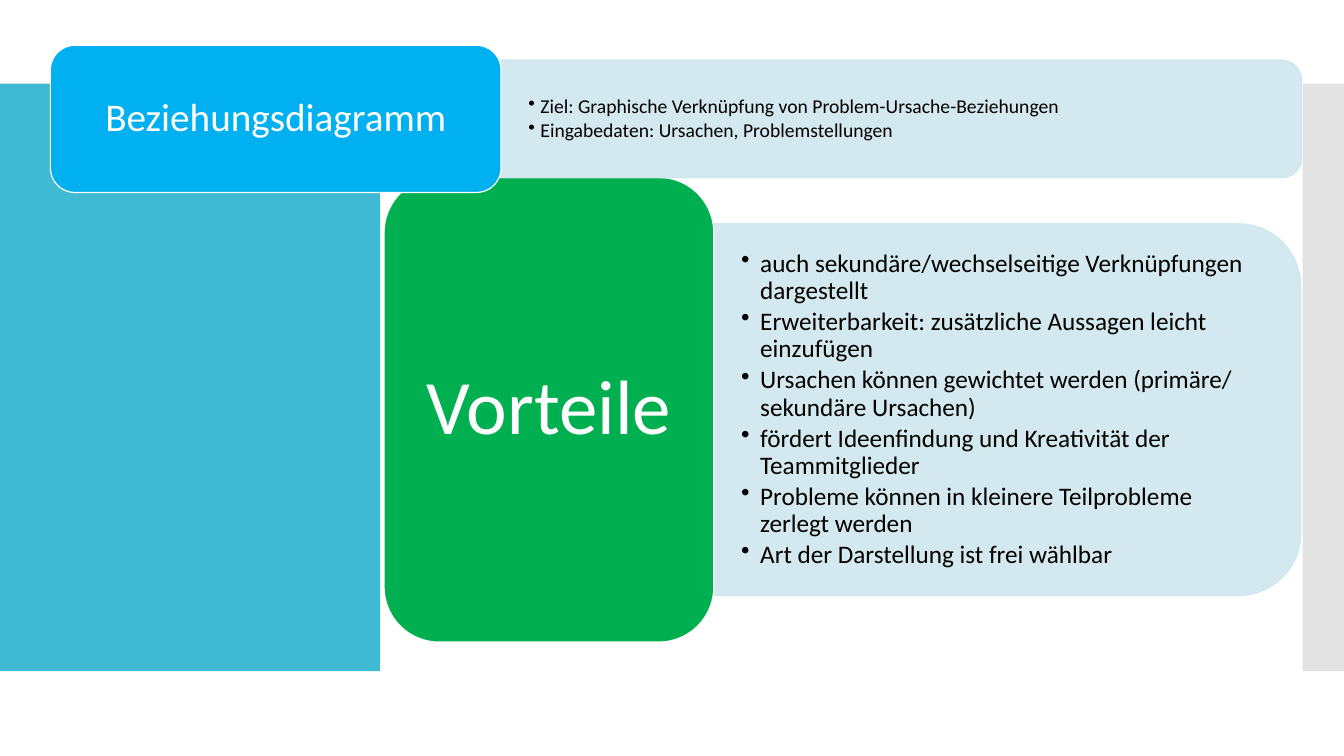
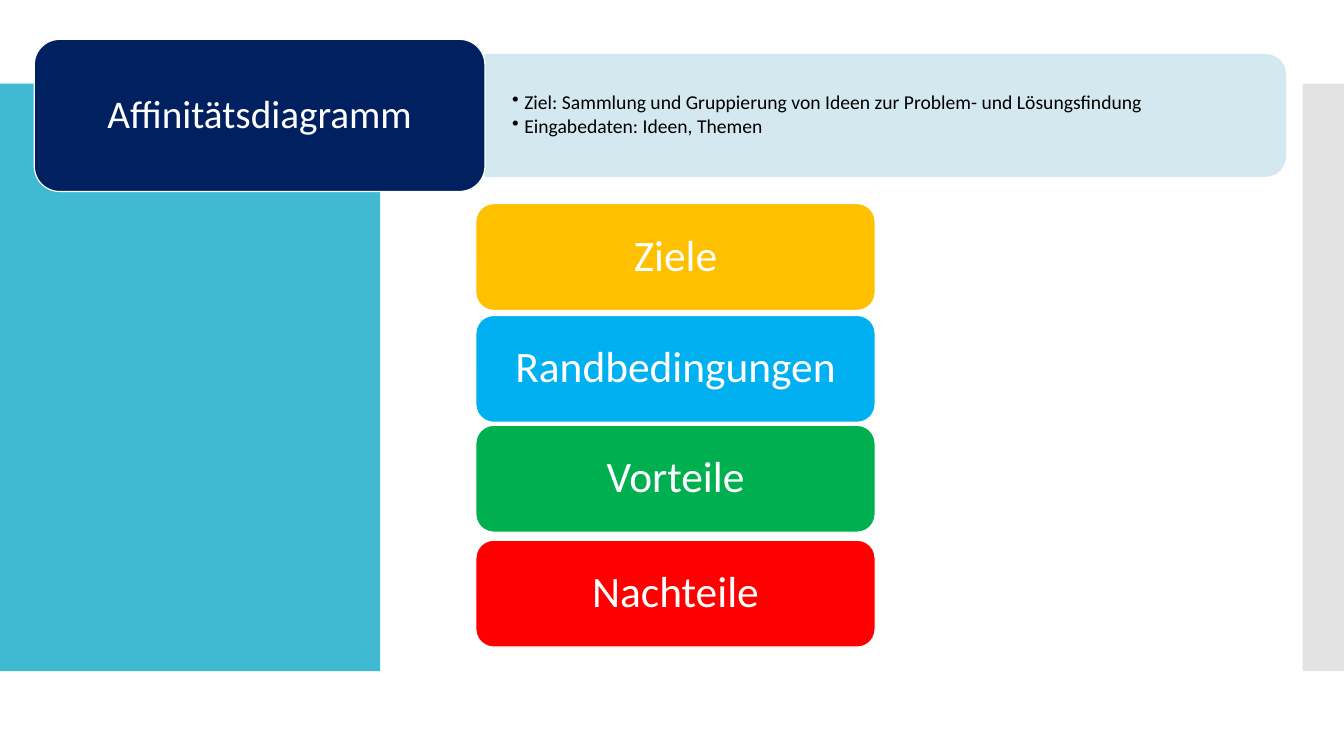
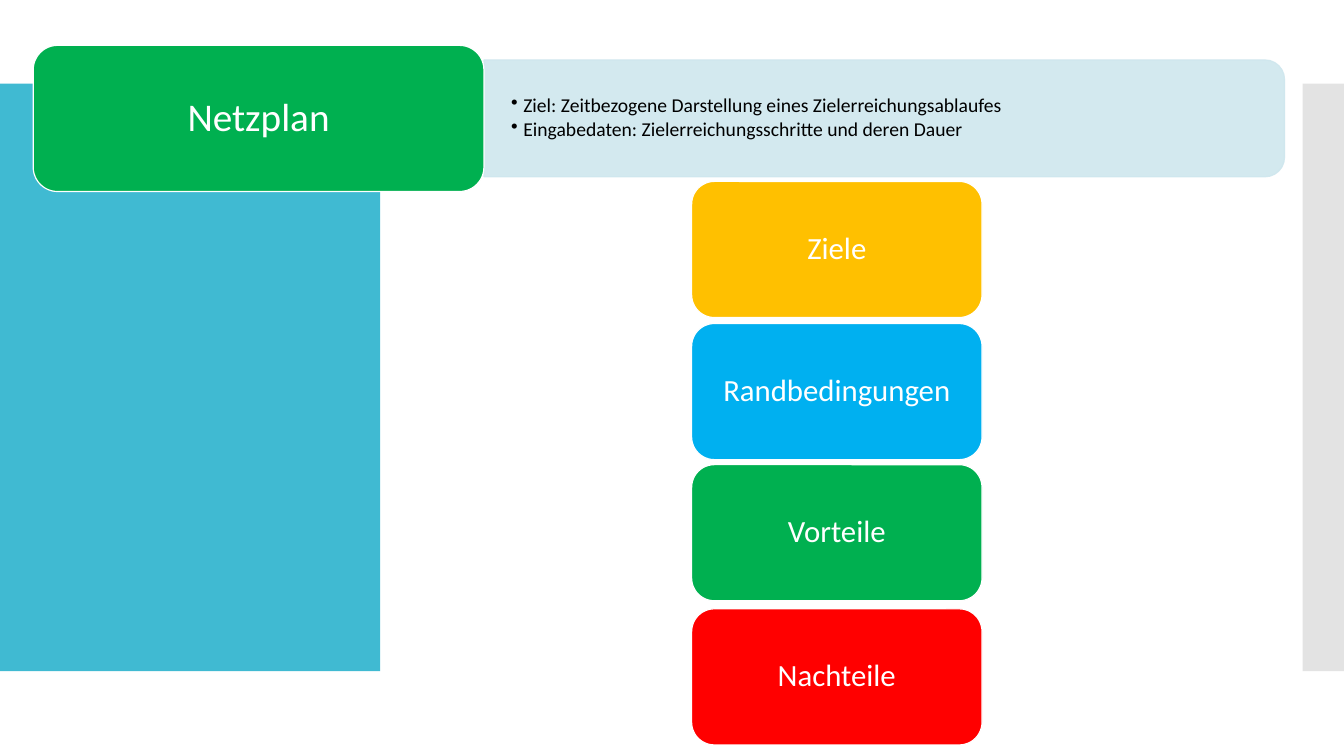
from lxml import etree
from pptx import Presentation
from pptx.dml.color import RGBColor
from pptx.enum import shapes, text
from pptx.oxml.ns import qn
from pptx.util import Inches, Pt

FONT = "Calibri"
WHITE, BLACK, PANEL = "FFFFFF", "000000", "CFE7EE"
TEAL, GREY = "40BAD2", "C8C8C8"
YELLOW, BLUE, GREEN, RED, NAVY = "FFC000", "00B0F0", "00B050", "FF0000", "002060"
PANEL_SHARE = 0.8
CORNER_INSET = 0.05

BANDS = [(0, 3.77, TEAL, 100), (12.92, 0.42, GREY, 50)]
STACK = [
    ("Ziele", YELLOW),
    ("Randbedingungen", BLUE),
    ("Vorteile", GREEN),
    ("Nachteile", RED),
]
HEADER = {"label_width": 4.47, "panel_width": 7.94, "label_size": 28, "bullet_size": 14, "indent": 0.12}

SLIDES = [
    {
        "header": {
            "label": "Beziehungsdiagramm", "color": BLUE, "left": 0.5, "top": 0.45, "height": 1.46,
            "bullets": [
                "Ziel: Graphische Verknüpfung von Problem-Ursache-Beziehungen",
                "Eingabedaten: Ursachen, Problemstellungen",
            ],
        },
        "advantages": {
            "label": "Vorteile", "color": GREEN, "left": 3.81, "top": 1.76, "height": 4.61,
            "label_width": 3.27, "panel_width": 5.82, "label_size": 55, "bullet_size": 18, "indent": 0.19,
            "bullets": [
                "auch sekundäre/wechselseitige Verknüpfungen dargestellt",
                "Erweiterbarkeit: zusätzliche Aussagen leicht einzufügen",
                "Ursachen können gewichtet werden (primäre/ sekundäre Ursachen)",
                "fördert Ideenfindung und Kreativität der Teammitglieder",
                "Probleme können in kleinere Teilprobleme zerlegt werden",
                "Art der Darstellung ist frei wählbar",
            ],
        },
    },
    {
        "header": {
            "label": "Affinitätsdiagramm", "color": NAVY, "left": 0.34, "top": 0.39, "height": 1.51,
            "bullets": [
                "Ziel: Sammlung und Gruppierung von Ideen zur Problem- und Lösungsfindung",
                "Eingabedaten: Ideen, Themen",
            ],
        },
        "stack": {"left": 4.72, "tops": (2.02, 3.13, 4.22, 5.36), "width": 3.96, "height": 1.06, "size": 31},
    },
    {
        "header": {
            "label": "Netzplan", "color": GREEN, "left": 0.33, "top": 0.45, "height": 1.45,
            "bullets": [
                "Ziel: Zeitbezogene Darstellung eines Zielerreichungsablaufes",
                "Eingabedaten: Zielerreichungsschritte und deren Dauer",
            ],
        },
        "stack": {"left": 6.86, "tops": (1.8, 3.21, 4.61, 6.04), "width": 2.88, "height": 1.35, "size": 22},
    },
]


def rgb(color):
    return RGBColor.from_string(color)


def add_box(slide, kind, left, top, width, height, fill, line=None, opacity=100):
    shape = slide.shapes.add_shape(kind, Inches(left), Inches(top), Inches(width), Inches(height))
    shape.shadow.inherit = False
    shape.fill.solid()
    shape.fill.fore_color.rgb = rgb(fill)
    if line:
        shape.line.color.rgb = rgb(line)
        shape.line.width = Pt(0.85)
    else:
        shape.line.fill.background()
    if opacity < 100:
        for color in shape.element.spPr.iter(qn("a:srgbClr")):
            etree.SubElement(color, qn("a:alpha"), val=str(opacity * 1000))
    return shape


def set_margins(frame, horizontal, vertical):
    frame.margin_left = frame.margin_right = Inches(horizontal)
    frame.margin_top = frame.margin_bottom = Inches(vertical)
    frame.word_wrap = True
    frame.vertical_anchor = text.MSO_ANCHOR.MIDDLE


def style_paragraph(paragraph, size, color):
    paragraph.line_spacing = 0.9
    paragraph.font.name = FONT
    paragraph.font.size = Pt(size)
    paragraph.font.color.rgb = rgb(color)


def add_label(slide, label, color, left, top, width, height, size):
    shape = add_box(slide, shapes.MSO_SHAPE.ROUNDED_RECTANGLE, left, top, width, height, color, WHITE)
    set_margins(shape.text_frame, 0.1, 0.05)
    paragraph = shape.text_frame.paragraphs[0]
    paragraph.text = label
    paragraph.alignment = text.PP_ALIGN.CENTER
    style_paragraph(paragraph, size, WHITE)


def add_bullets(slide, bullets, left, top, width, height, size, indent):
    box = slide.shapes.add_textbox(Inches(left), Inches(top), Inches(width), Inches(height))
    frame = box.text_frame
    set_margins(frame, 0.27, 0.14)
    for index, bullet in enumerate(bullets):
        paragraph = frame.add_paragraph() if index else frame.paragraphs[0]
        paragraph.text = bullet
        style_paragraph(paragraph, size, BLACK)
        paragraph.space_after = Pt(0.15 * size)
        properties = paragraph._p.get_or_add_pPr()
        properties.set("marL", str(Inches(indent)))
        properties.set("indent", str(-Inches(indent)))
        marker = etree.Element(qn("a:buChar"), char="•")
        properties.insert_element_before(marker, "a:tabLst", "a:defRPr", "a:extLst")


def add_labelled_panel(slide, label, color, left, top, height, bullets,
                       label_width, panel_width, label_size, bullet_size, indent):
    panel_height = PANEL_SHARE * height
    panel_left = left + label_width
    panel_top = top + (height - panel_height) / 2
    shift = (panel_width - panel_height) / 2
    panel = add_box(slide, shapes.MSO_SHAPE.ROUND_2_SAME_RECTANGLE, panel_left + shift, panel_top - shift,
                    panel_height, panel_width, PANEL, PANEL, 90)
    panel.rotation = 90
    add_bullets(slide, bullets, panel_left, panel_top, panel_width - CORNER_INSET * panel_height,
                panel_height, bullet_size, indent)
    add_label(slide, label, color, left, top, label_width, height, label_size)


def add_stack(slide, left, tops, width, height, size):
    for (label, color), top in zip(STACK, tops):
        add_label(slide, label, color, left, top, width, height, size)


def add_master_bands(presentation, slide):
    tree = presentation.slide_master.shapes.element
    for left, width, color, opacity in BANDS:
        band = add_box(slide, shapes.MSO_SHAPE.RECTANGLE, left, 0.83, width, 5.83, color, opacity=opacity)
        tree.append(band.element)


def main():
    presentation = Presentation()
    presentation.slide_width, presentation.slide_height = Inches(13.33), Inches(7.5)
    for number, content in enumerate(SLIDES):
        slide = presentation.slides.add_slide(presentation.slide_layouts[6])
        if number == 0:
            add_master_bands(presentation, slide)
        if "advantages" in content:
            add_labelled_panel(slide, **content["advantages"])
        if "stack" in content:
            add_stack(slide, **content["stack"])
        add_labelled_panel(slide, **content["header"], **HEADER)
    presentation.save("out.pptx")


if __name__ == "__main__":
    main()
